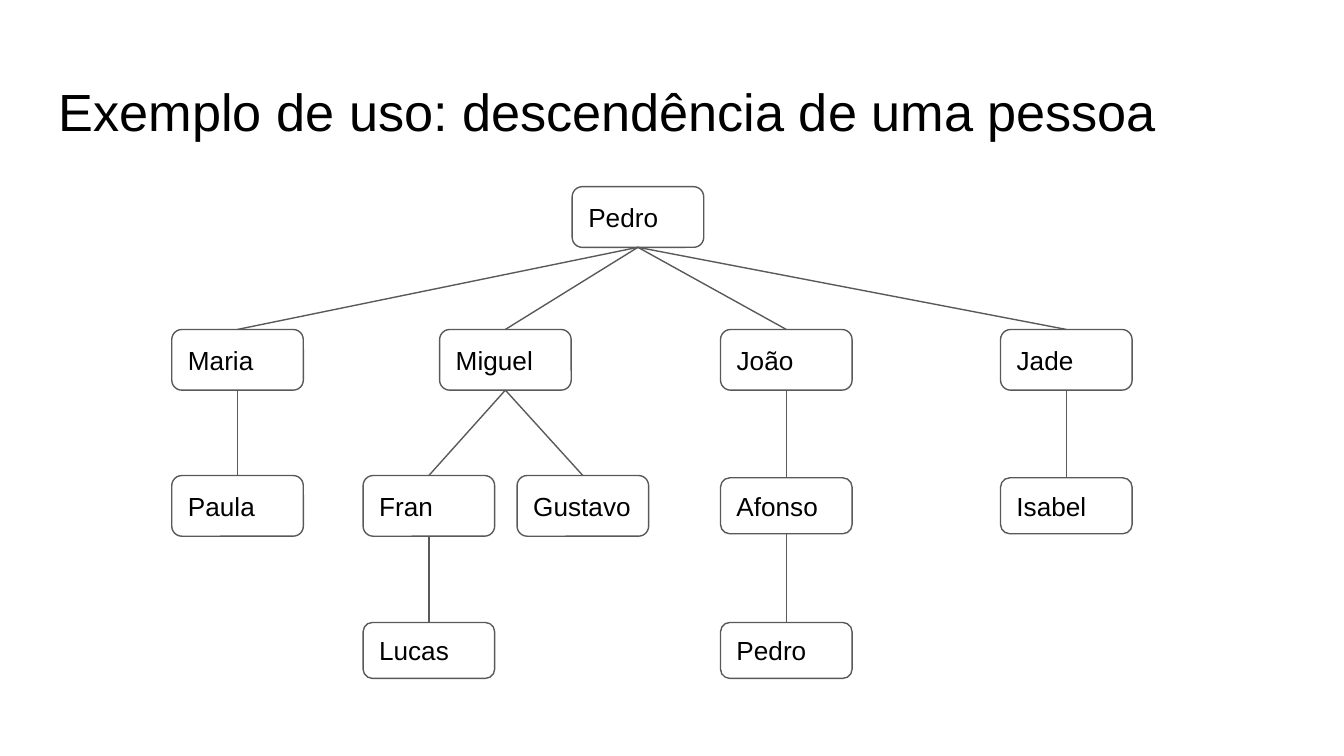
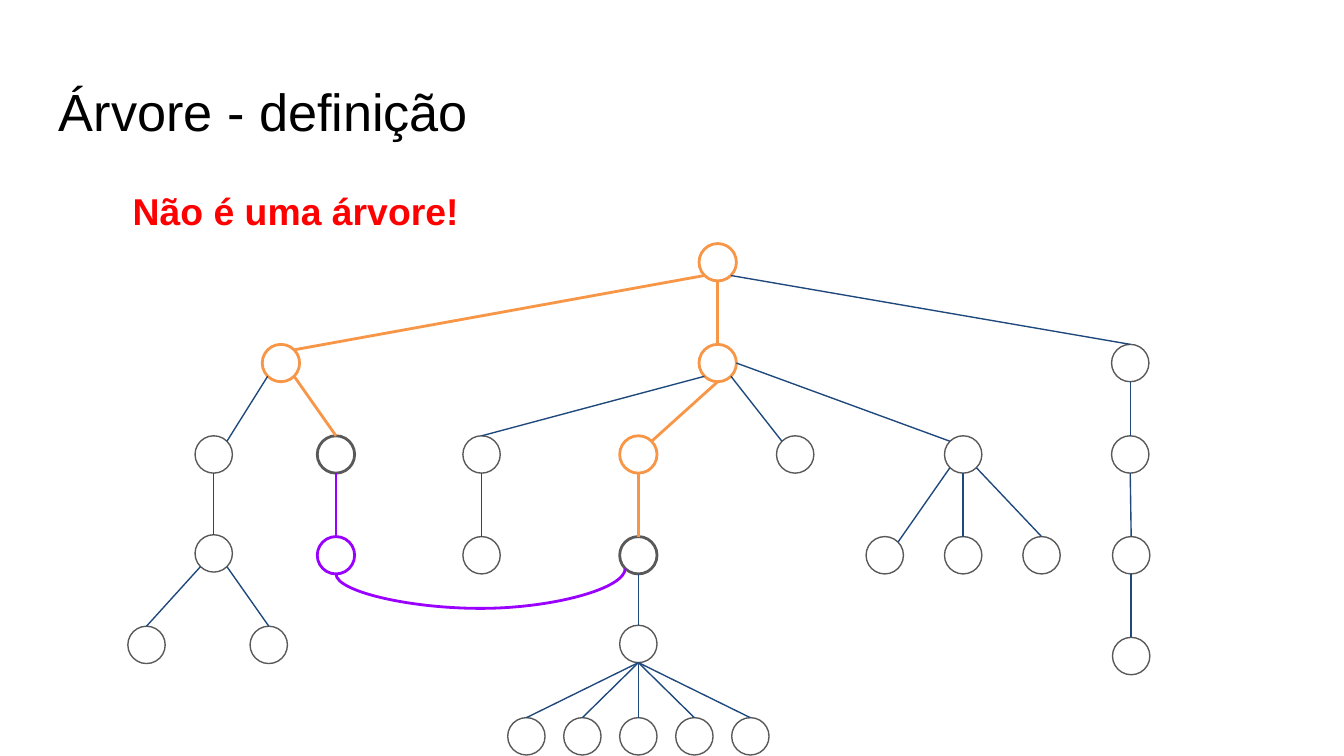
from lxml import etree
from pptx import Presentation
from pptx.dml.color import RGBColor
from pptx.enum import shapes, text
from pptx.oxml import ns
from pptx.util import Pt

COLORS = {"ink": "000000", "outline": "595959", "edge": "1F497D",
          "path": "F79646", "loop": "9900FF", "warning": "FF0000"}
STROKES = {  # colour, width
    "plain": ("outline", 0.75), "meet": ("outline", 1.5), "edge": ("edge", 0.75),
    "path": ("path", 1.5), "loop": ("loop", 1.5)}
FONT = "Arial"
INSET = 7.2
TITLE_BOX = (24.5, 35.5, 671, 45)

# Family: left, vertical middle and height of each box, relative to the tree
PERSON_WIDTH, TALL, SHORT = 70.5, 32.5, 30
GENERATIONS = (16.25, 92.75, 171, 248.5)
FAMILY = {  # key: name, left, generation, height, parent
    "root": ("Pedro", 214.5, 0, TALL, None),
    "maria": ("Maria", 0, 1, TALL, "root"),
    "miguel": ("Miguel", 143.5, 1, TALL, "root"),
    "joao": ("João", 294, 1, TALL, "root"),
    "jade": ("Jade", 444, 1, TALL, "root"),
    "paula": ("Paula", 0, 2, TALL, "maria"),
    "fran": ("Fran", 102.5, 2, TALL, "miguel"),
    "gustavo": ("Gustavo", 185, 2, TALL, "miguel"),
    "afonso": ("Afonso", 294, 2, SHORT, "joao"),
    "isabel": ("Isabel", 444, 2, SHORT, "jade"),
    "lucas": ("Lucas", 102.5, 3, SHORT, "fran"),
    "pedro": ("Pedro", 294, 3, SHORT, "afonso"),
}

# Graph: circle centres relative to the tree, and the edge from the parent
RADIUS = 10
DIAGONAL = 0.71
SITES = {"N": (0, -1), "S": (0, 1), "E": (1, 0),
         "NE": (DIAGONAL, -DIAGONAL), "NW": (-DIAGONAL, -DIAGONAL),
         "SE": (DIAGONAL, DIAGONAL), "SW": (-DIAGONAL, DIAGONAL)}
NODES = {  # key: x, y, stroke, parent, site on parent, own site, edge stroke
    "root": (316, 10, "path", None, None, None, None),
    "a": (82, 64, "path", "root", "SW", "NE", "path"),
    "b": (316, 64, "path", "root", "S", "N", "path"),
    "c": (537, 64, "plain", "root", "SE", "N", "edge"),
    "a1": (46, 113, "plain", "a", "SW", "NE", "edge"),
    "a2": (111.5, 113, "meet", "a", "SE", "N", "path"),
    "b1": (189.5, 113, "plain", "b", "SW", "N", "edge"),
    "b2": (273.5, 113, "path", "b", "S", "NE", "path"),
    "b3": (357.5, 113, "plain", "b", "SE", "NW", "edge"),
    "b4": (447.5, 113, "plain", "b", "E", "NW", "edge"),
    "c1": (537, 113, "plain", "c", "S", "N", "edge"),
    "a11": (46, 166, "plain", "a1", "S", "N", "edge"),
    "a21": (111.5, 167, "loop", "a2", "S", "N", "loop"),
    "b11": (189.5, 167, "plain", "b1", "S", "N", "edge"),
    "b21": (273.5, 167, "meet", "b2", "S", "N", "path"),
    "b41": (405.5, 167, "plain", "b4", "SW", "NE", "edge"),
    "b42": (447.5, 167, "plain", "b4", "S", "N", "edge"),
    "b43": (489.5, 167, "plain", "b4", "SE", "N", "edge"),
    "c11": (537.5, 167, "plain", "c1", "S", "N", "edge"),
    "a111": (10, 215, "plain", "a11", "SW", "N", "edge"),
    "a112": (75.5, 215, "plain", "a11", "SE", "N", "edge"),
    "b211": (273.5, 214.5, "plain", "b21", "S", "N", "edge"),
    "c111": (537.5, 221, "plain", "c11", "S", "N", "edge"),
}
LEAF_COUNT, LEAF_GAP, LEAF_Y = 5, 30, 264
for i in range(LEAF_COUNT):
    leaf_x = NODES["b211"][0] + (i - LEAF_COUNT // 2) * LEAF_GAP
    NODES[f"leaf{i}"] = (leaf_x, LEAF_Y, "plain", "b211", "S", "N", "edge")


def pts(*lengths):
    return [Pt(length) for length in lengths]


def rgb(color):
    return RGBColor.from_string(COLORS[color])


def write(frame, wording, size, color="ink", bold=False):
    frame.word_wrap = True
    frame.margin_left = frame.margin_right = Pt(INSET)
    frame.margin_top = frame.margin_bottom = Pt(INSET)
    frame.text = wording
    line = frame.paragraphs[0]
    line.alignment = text.PP_ALIGN.LEFT
    font = line.runs[0].font
    font.name, font.size, font.bold = FONT, Pt(size), bold
    font.color.rgb = rgb(color)


def stroke(line, style):
    color, width = STROKES[style]
    line.color.rgb = rgb(color)
    line.width = Pt(width)


def add_outline(slide, preset, box, style):
    outline = slide.shapes.add_shape(preset, *pts(*box))
    outline.shadow.inherit = False
    outline.fill.background()
    stroke(outline.line, style)
    return outline


def add_link(slide, ends, style, kind=shapes.MSO_CONNECTOR.STRAIGHT):
    link = slide.shapes.add_connector(kind, *pts(*ends))
    stroke(link.line, style)
    etree.SubElement(link._element.spPr, ns.qn("a:effectLst"))
    return link


def add_label(slide, box, wording, size, color="ink", bold=False):
    label = slide.shapes.add_textbox(*pts(*box))
    write(label.text_frame, wording, size, color, bold)


def add_titled_slide(deck, title):
    slide = deck.slides.add_slide(deck.slide_layouts[6])
    add_label(slide, TITLE_BOX, title, 28)
    return slide


def draw_family(slide, left, top):
    # People
    people = {}
    for key, (name, x, generation, height, _) in FAMILY.items():
        y = GENERATIONS[generation] - height / 2
        person = add_outline(slide, shapes.MSO_SHAPE.ROUNDED_RECTANGLE,
                             (left + x, top + y, PERSON_WIDTH, height), "plain")
        write(person.text_frame, name, 14)
        person.text_frame.vertical_anchor = text.MSO_ANCHOR.MIDDLE
        people[key] = person
    # Descent: bottom of the parent to top of the child
    for key, (*_, parent) in FAMILY.items():
        if parent:
            descent = add_link(slide, (0, 0, 0, 0), "plain")
            descent.begin_connect(people[parent], 2)
            descent.end_connect(people[key], 0)


def draw_graph(slide, left, top):
    def site(key, direction):
        x, y = NODES[key][:2]
        dx, dy = SITES[direction]
        return left + x + dx * RADIUS, top + y + dy * RADIUS

    # Nodes
    for x, y, style, *_ in NODES.values():
        add_outline(slide, shapes.MSO_SHAPE.OVAL,
                    (left + x - RADIUS, top + y - RADIUS, 2 * RADIUS, 2 * RADIUS), style)
    # Edges
    for key, (_, _, _, parent, start, end, style) in NODES.items():
        if parent:
            add_link(slide, site(parent, start) + site(key, end), style)
    # Curve that closes the cycle
    draw_cycle(slide, site("a21", "S"), site("b21", "SW"), 18.5)


def draw_cycle(slide, start, end, drop):
    """Link two points with a curve that hangs below them, as a quarter-turned connector."""
    span, rise = end[0] - start[0], start[1] - end[1]
    middle_x, middle_y = (start[0] + end[0]) / 2, (start[1] + end[1]) / 2
    x, y = middle_x - rise / 2, middle_y - span / 2
    cycle = add_link(slide, (x, y, x + rise, y + span), "loop",
                     shapes.MSO_CONNECTOR.CURVE)
    properties = cycle._element.spPr
    properties.find(ns.qn("a:xfrm")).set("rot", str(270 * 60000))
    geometry = properties.find(ns.qn("a:prstGeom"))
    guides = geometry.find(ns.qn("a:avLst"))
    if guides is None:
        guides = etree.SubElement(geometry, ns.qn("a:avLst"))
    bend = round(-drop / rise * 100000)
    etree.SubElement(guides, ns.qn("a:gd"), name="adj1", fmla=f"val {bend}")


def main():
    deck = Presentation()
    deck.slide_width, deck.slide_height = pts(720, 405)

    family = add_titled_slide(deck, "Exemplo de uso: descendência de uma pessoa")
    draw_family(family, 92, 100)

    definition = add_titled_slide(deck, "Árvore - definição")
    add_label(definition, (64, 93.5, 193.5, 33), "Não é uma árvore!", 20, "warning", True)
    draw_graph(definition, 68.5, 130.5)

    deck.save("out.pptx")


if __name__ == "__main__":
    main()
